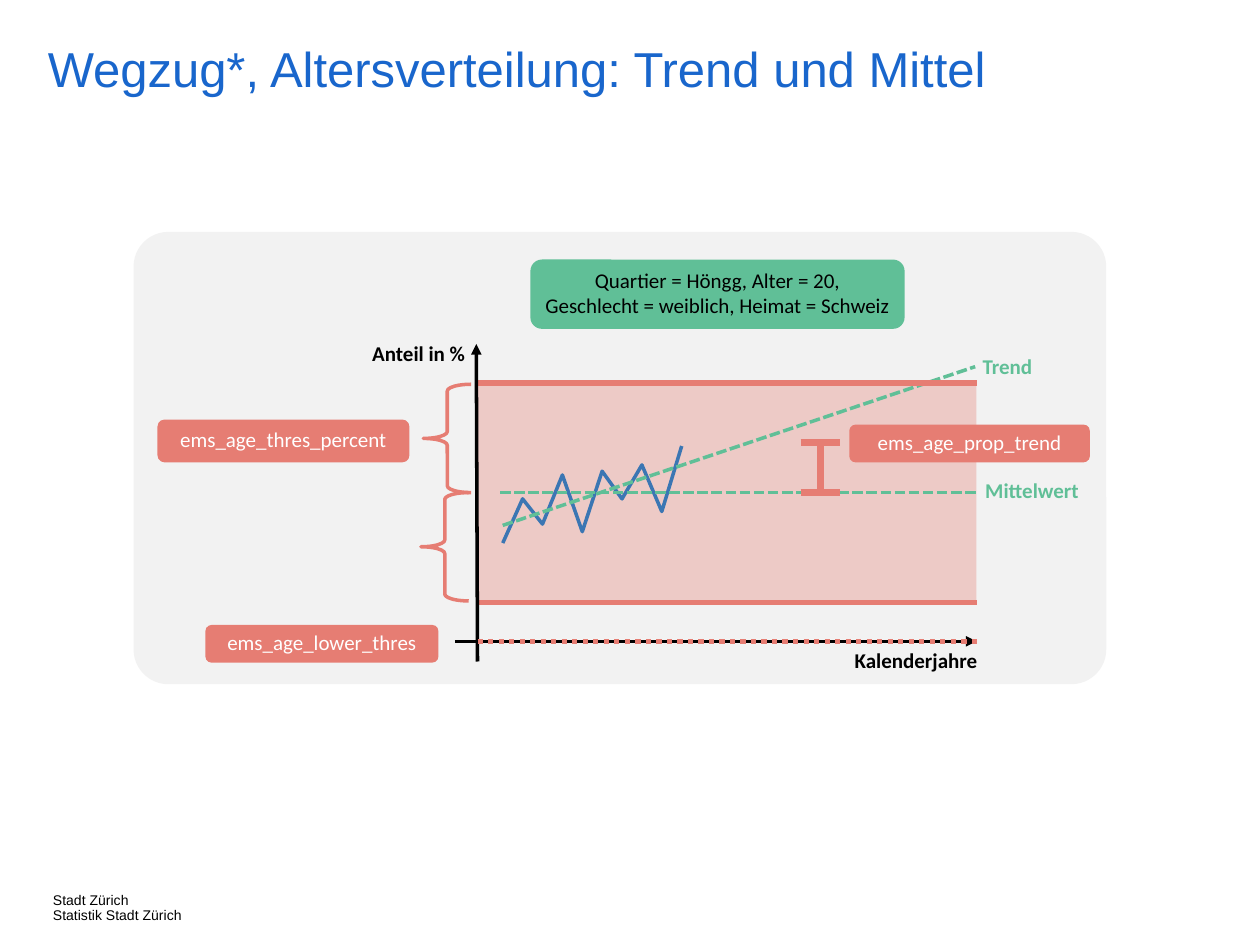
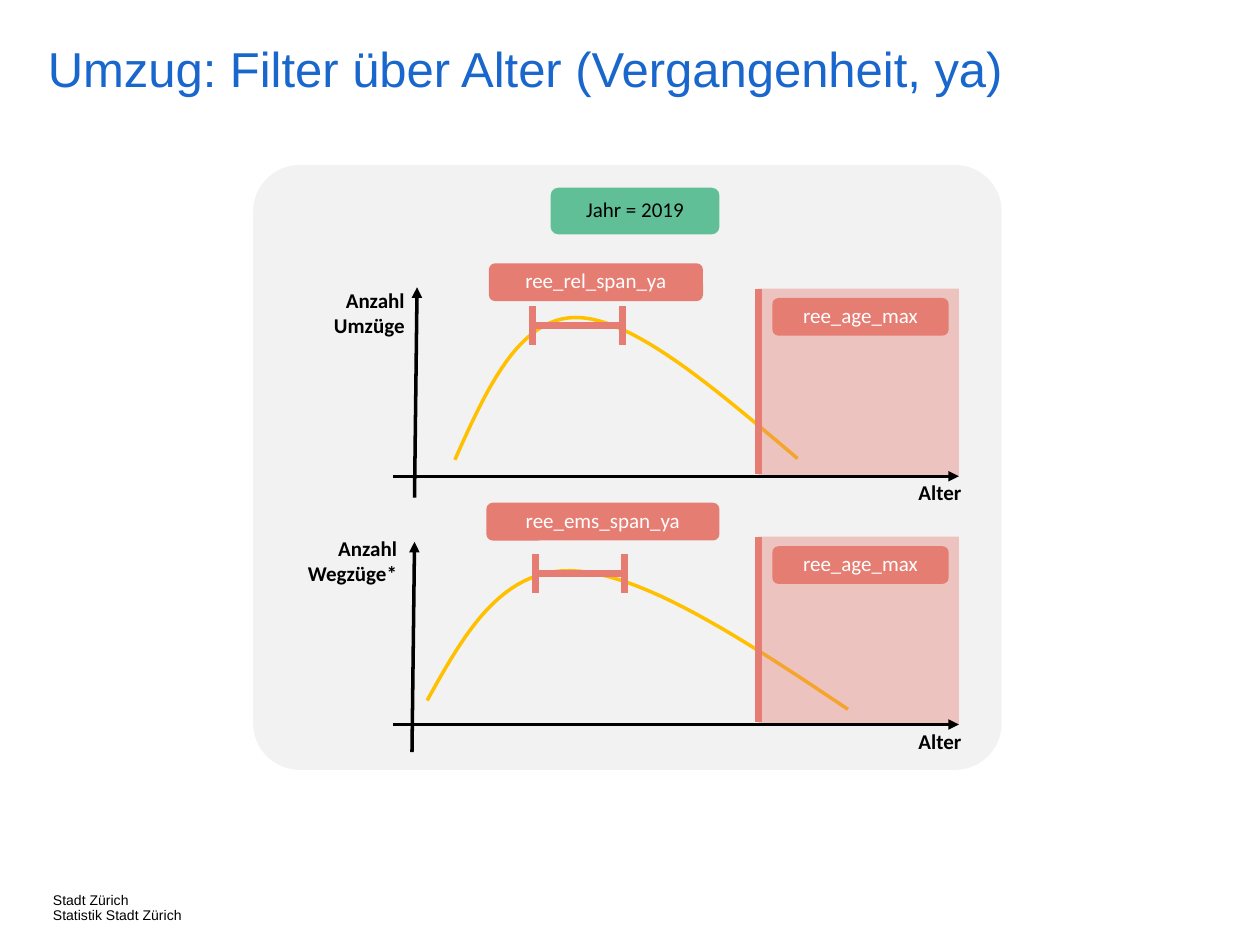
from lxml import etree
from pptx import Presentation, util as u
from pptx.dml.color import RGBColor
from pptx.enum import dml, shapes, text
from pptx.oxml.ns import qn

BLUE = RGBColor(0x19, 0x66, 0xCC)
SERIES = RGBColor(0x3B, 0x76, 0xB3)
GREEN = RGBColor(0x60, 0xBF, 0x97)
CORAL = RGBColor(0xE6, 0x7D, 0x73)
AMBER = RGBColor(0xFF, 0xC0, 0x00)
GREY = RGBColor(0xF2, 0xF2, 0xF2)
BLACK = RGBColor(0, 0, 0)
WHITE = RGBColor(0xFF, 0xFF, 0xFF)

COLUMNS, ROWS = 100, 75
SHAPE = shapes.MSO_SHAPE
ALIGN = text.PP_ALIGN
DASH = dml.MSO_LINE.SQUARE_DOT
DOT = dml.MSO_LINE.ROUND_DOT


class Sketch:
    def __init__(self):
        self.deck = Presentation()
        self.deck.slide_width, self.deck.slide_height = u.Inches(10), u.Inches(7.5)
        self.page = None

    def place(self, *lengths):
        units = self.deck.slide_width / COLUMNS, self.deck.slide_height / ROWS
        return [round(length * units[i % 2]) for i, length in enumerate(lengths)]

    def start(self, title):
        self.page = self.deck.slides.add_slide(self.deck.slide_layouts[6])
        self.words((3.8, 3.6, 90.3, 6.4), title, BLUE, 28, "Arial", margin=0, spacing=0.9)
        self.words((4.2, 70.9, 13.1, 2), "Stadt Zürich\nStatistik Stadt Zürich", BLACK, 8,
                   "Arial", margin=0, spacing=0.9, wrap=False)

    def set_words(self, box, content, color, size=12, font="Calibri", bold=False,
                  align=ALIGN.LEFT, spacing=None):
        box.text_frame.text = content
        for para in box.text_frame.paragraphs:
            para.alignment = align
            para.line_spacing = spacing
            for span in para.runs:
                span.font.name, span.font.size, span.font.bold = font, u.Pt(size), bold
                span.font.color.rgb = color

    def words(self, area, content, color, *style, margin=None, wrap=True, **look):
        box = self.page.shapes.add_textbox(*self.place(*area))
        frame = box.text_frame
        frame.word_wrap = wrap
        if margin is not None:
            frame.margin_left = frame.margin_right = margin
            frame.margin_top = frame.margin_bottom = margin
        self.set_words(box, content, color, *style, **look)

    def label(self, area, content, color=BLACK, align=ALIGN.RIGHT):
        self.words(area, content, color, bold=True, align=align)

    def block(self, area, color, kind=SHAPE.RECTANGLE, corner=None, opacity=None):
        box = self.page.shapes.add_shape(kind, *self.place(*area))
        box.shadow.inherit = False
        box.fill.solid()
        box.fill.fore_color.rgb = color
        box.line.fill.background()
        if corner is not None:
            box.adjustments[0] = corner
        if opacity is not None:
            tint = box.element.spPr.find(qn("a:solidFill")).find(qn("a:srgbClr"))
            etree.SubElement(tint, qn("a:alpha")).set("val", str(opacity * 1000))
        return box

    def panel(self, area):
        self.block(area, GREY, SHAPE.ROUNDED_RECTANGLE, corner=0.077)

    def tag(self, area, content, fill=CORAL, color=WHITE):
        box = self.block(area, fill, SHAPE.ROUNDED_RECTANGLE)
        frame = box.text_frame
        frame.margin_left = frame.margin_right = frame.margin_top = 0
        frame.margin_bottom = u.Pt(2)
        frame.vertical_anchor = text.MSO_ANCHOR.MIDDLE
        self.set_words(box, content, color, align=ALIGN.CENTER)

    def stroke(self, item, color, width):
        item.line.color.rgb = color
        item.line.width = u.Pt(width)

    def rule(self, start, end, color, width=2, dash=None, arrow=False):
        link = self.page.shapes.add_connector(
            shapes.MSO_CONNECTOR.STRAIGHT, *self.place(*start, *end))
        self.stroke(link, color, width)
        if dash:
            link.line.dash_style = dash
        properties = link.element.spPr
        if arrow:
            head = etree.SubElement(properties.find(qn("a:ln")), qn("a:tailEnd"))
            head.set("type", "triangle")
        etree.SubElement(properties, qn("a:effectLst"))
        return link

    def axis(self, start, end):
        self.rule(start, end, BLACK, arrow=True)

    def gauge(self, start, end, half=1.55):
        self.rule(start, end, CORAL, 4)
        across, down = (half, 0) if start[0] == end[0] else (0, half)
        for x, y in (start, end):
            self.rule((x - across, y - down), (x + across, y + down), CORAL, 4)

    def brace(self, area):
        mark = self.page.shapes.add_shape(SHAPE.LEFT_BRACE, *self.place(*area))
        mark.shadow.inherit = False
        mark.fill.background()
        mark.adjustments[0] = 0.142
        self.stroke(mark, CORAL, 2)

    def trace(self, points, color):
        dots = [self.place(*point) for point in points]
        builder = self.page.shapes.build_freeform(*dots[0])
        builder.add_line_segments(dots[1:], close=False)
        outline = builder.convert_to_shape()
        outline.shadow.inherit = False
        outline.fill.background()
        self.stroke(outline, color, 2)

    def curve(self, knots, color, steps=24):
        points = [knots[0]]
        for first in range(0, len(knots) - 1, 3):
            corners = knots[first:first + 4]
            for step in range(1, steps + 1):
                t = step / steps
                weights = (1 - t) ** 3, 3 * t * (1 - t) ** 2, 3 * t * t * (1 - t), t ** 3
                points.append([sum(w * c[i] for w, c in zip(weights, corners)) for i in (0, 1)])
        self.trace(points, color)


def draw_trend(sketch):
    sketch.start("Wegzug*, Altersverteilung: Trend und Mittel")
    sketch.panel((10.6, 18.4, 77.2, 35.9))
    left, right, upper, mean, lower, base = 37.8, 77.5, 30.4, 39.1, 47.8, 50.9
    band = sketch.block((left, upper, right - left, lower - upper), CORAL, opacity=34)
    sketch.axis((36.1, base), (right, base))
    sketch.label((66.5, base, 12.4, 3), "Kalenderjahre", align=ALIGN.CENTER)
    sketch.label((25.5, 26.5, 12.4, 3), "Anteil in %")
    sketch.tag((12.5, 33.3, 20, 3.4), "ems_age_thres_percent")
    shares = (43.1, 39.6, 41.6, 37.7, 42.2, 37.4, 39.6, 36.9, 40.6, 35.4)
    gap = 14.2 / (len(shares) - 1)
    sketch.trace([(39.9 + i * gap, share) for i, share in enumerate(shares)], SERIES)
    average = sketch.rule((39.7, mean), (right, mean), GREEN, dash=DASH)
    average.end_connect(band, 3)
    sketch.label((74.2, 37.4, 12.4, 3), "Mittelwert", GREEN)
    sketch.rule((39.9, 41.7), (77.4, 29.1), GREEN, dash=DASH)
    sketch.label((76.5, 27.6, 6.4, 3), "Trend", GREEN)
    for limit in (lower, upper):
        sketch.rule((left, limit), (right, limit), CORAL, 3)
    sketch.axis((37.9, 52.5), (left, 27.3))
    for x, y in ((33.6, 30.5), (33.4, mean)):
        sketch.brace((x, y, 3.8, 8.6))
    sketch.gauge((65.1, 35.1), (65.1, mean))
    sketch.tag((67.4, 33.7, 19.1, 3), "ems_age_prop_trend")
    sketch.tag((42.1, 20.6, 29.7, 5.5),
               "Quartier = Höngg, Alter = 20,\vGeschlecht = weiblich, Heimat = Schweiz",
               GREEN, BLACK)
    sketch.tag((16.3, 49.6, 18.5, 3), "ems_age_lower_thres")
    sketch.rule((37.9, base), (77.6, base), CORAL, 3, DOT)


def draw_age_chart(sketch, top, stem, knots, caption, caption_left, span, tag):
    base = top + 14.9
    sketch.curve(knots, AMBER)
    sketch.axis((stem[0], stem[1] + 16.7), (stem[0] + 0.2, stem[1]))
    sketch.label((caption_left, top - 0.6, 12.4, 5), caption)
    sketch.label((68.4, base - 0.2, 12.4, 3), "Alter", align=ALIGN.CENTER)
    sketch.gauge(*[(x, top + 2.95) for x in span])
    sketch.tag(*tag)
    sketch.block((60.2, top, 15.9, 14.9), CORAL, opacity=40)
    sketch.rule((60.2, top), (60.2, base - 0.2), CORAL, 4)
    sketch.axis((31.2, base), (76.1, base))
    sketch.tag((61.3, top + 0.75, 14, 3), "ree_age_max")


def draw_age_filter(sketch):
    sketch.start("Umzug: Filter über Alter (Vergangenheit, ya)")
    sketch.panel((20.1, 13.1, 59.4, 48))
    sketch.tag((43.7, 14.9, 13.4, 3.7), "Jahr = 2019", GREEN, BLACK)
    moves = [(36.1, 36.5), (38.6, 30.9), (41.2, 25.2), (45.7, 25.2),
             (50.2, 25.2), (56.7, 30.8), (63.3, 36.4)]
    departures = [(33.9, 55.6), (36.8, 50.4), (39.7, 45.2), (45.3, 45.3),
                  (50.9, 45.4), (59.1, 50.8), (67.3, 56.3)]
    draw_age_chart(sketch, 22.9, (32.9, 22.8), moves, "Anzahl\vUmzüge", 20.7,
                   (42.3, 49.4), ((38.8, 20.9, 17, 3), "ree_rel_span_ya"))
    draw_age_chart(sketch, 42.6, (32.7, 43), departures, "Anzahl\vWegzüge*", 20.1,
                   (42.5, 49.6), ((38.6, 39.9, 18.5, 3), "ree_ems_span_ya"))


def main():
    sketch = Sketch()
    draw_trend(sketch)
    draw_age_filter(sketch)
    sketch.deck.save("out.pptx")


if __name__ == "__main__":
    main()
